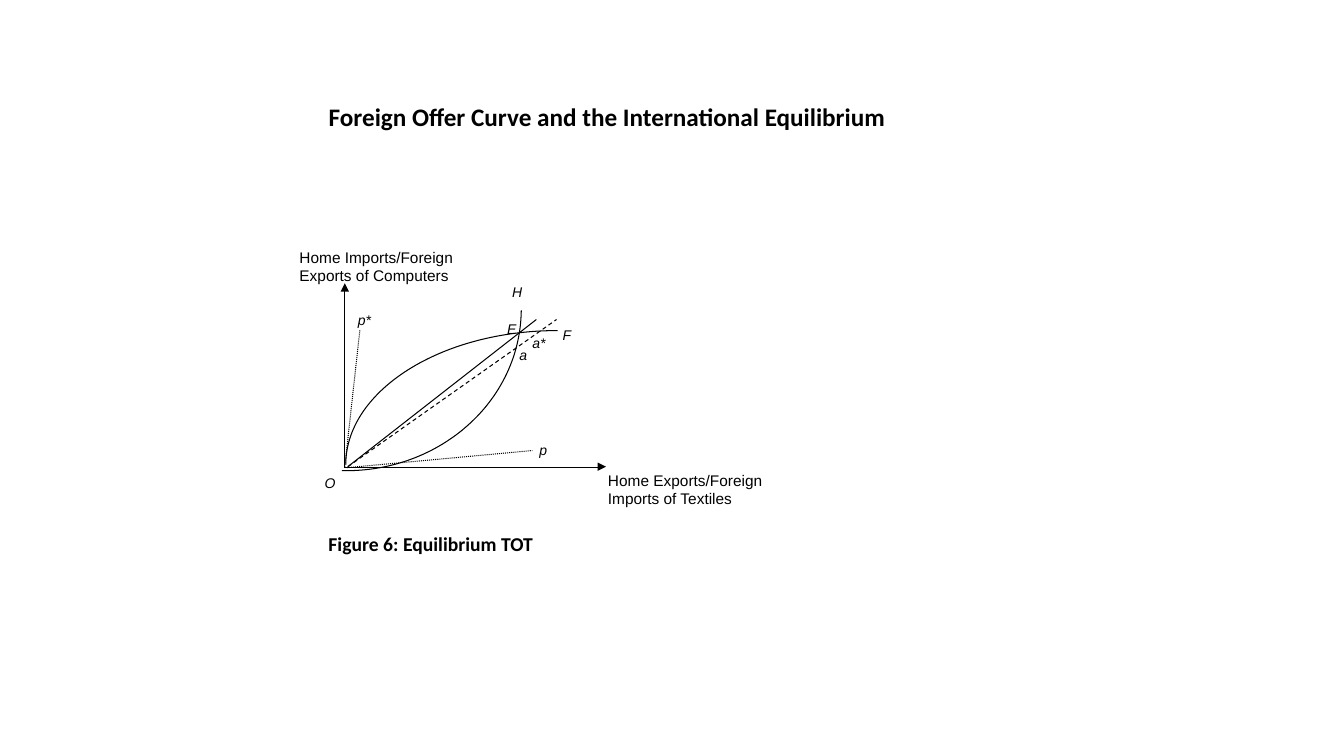
from lxml import etree
from pptx import Presentation
from pptx.dml.color import RGBColor
from pptx.enum import dml, shapes, text
from pptx.oxml.ns import qn
from pptx.util import Inches, Pt

BLACK = RGBColor(0, 0, 0)
WHITE = RGBColor(255, 255, 255)
DOTTED = dml.MSO_LINE.ROUND_DOT
DASHED = dml.MSO_LINE.DASH
CURVE_STEPS = 60

# Offsets from the chart origin O, with x to the right and y downwards
LINES = [  # start, end, width, dash, arrowhead
    ((0, -1.78), (0, 0), 1, None, False),  # vertical axis
    ((0, 0), (2.55, 0), 1, None, False),  # horizontal axis
    ((0, -1.55), (0, -1.83), 0.5, None, True),
    ((2.29, -0.01), (2.59, -0.01), 0.25, None, True),
    ((0.02, 0), (1.86, -0.17), 0.75, DOTTED, False),  # p
    ((0, -0.01), (0.15, -1.37), 0.75, DOTTED, False),  # p*
    ((0.03, -0.01), (1.9, -1.47), 0.75, None, False),  # terms of trade at E
    ((0.03, -0.01), (2.1, -1.47), 0.75, DASHED, False),  # through a and a*
]
OFFER_CURVES = [  # Bezier control points
    [(2.11, -1.36), (0.95, -1.36), (0.01, -0.76), (0.01, -0.03)],  # foreign
    [(-0.03, 0.03), (0.94, 0.05), (1.74, -0.66), (1.75, -1.56)],  # home
]
NARROW, WIDE = (0.06, 0.03), (0.12, 0.06)
POINT_LABELS = [  # wording, box, insets
    ("H", (1.6, -1.86, 0.26, 0.38), NARROW),
    ("O", (-0.26, 0.04, 0.29, 0.32), NARROW),
    ("F", (2.04, -1.46, 0.32, 0.27), WIDE),
    ("E", (1.49, -1.52, 0.32, 0.27), WIDE),
    ("p*", (0.01, -1.61, 0.47, 0.4), WIDE),
    ("p", (1.81, -0.32, 0.43, 0.41), WIDE),
    ("a", (1.61, -1.26, 0.31, 0.27), WIDE),
    ("a*", (1.74, -1.38, 0.42, 0.31), WIDE),
]
AXIS_TITLES = [
    (["Home Exports/Foreign", "Imports of Textiles"], (2.55, 0, 1.93, 0.41)),
    (["Home Imports/Foreign", "Exports of Computers"], (-0.51, -2.21, 1.75, 0.41)),
]


def write_lines(shape, lines, size, font_name, insets, bold=False, italic=False):
    frame = shape.text_frame
    frame.word_wrap = True
    frame.auto_size = text.MSO_AUTO_SIZE.NONE
    frame.margin_left = frame.margin_right = Inches(insets[0])
    frame.margin_top = frame.margin_bottom = Inches(insets[1])
    for index, line in enumerate(lines):
        paragraph = frame.add_paragraph() if index else frame.paragraphs[0]
        paragraph.alignment = text.PP_ALIGN.LEFT
        run = paragraph.add_run()
        run.text = line
        run.font.size = Pt(size)
        run.font.name = font_name
        run.font.bold = bold
        run.font.italic = italic
        run.font.color.rgb = BLACK


def add_label(slide, box, lines, size, font_name, insets, **style):
    label = slide.shapes.add_textbox(*map(Inches, box))
    write_lines(label, lines, size, font_name, insets, **style)


def add_line(slide, start, end, width, dash, arrowhead):
    line = slide.shapes.add_connector(
        shapes.MSO_CONNECTOR.STRAIGHT, *map(Inches, start + end))
    line.line.color.rgb = BLACK
    line.line.width = Pt(width)
    if dash:
        line.line.dash_style = dash
    if arrowhead:
        outline = line._element.spPr.find(qn("a:ln"))
        etree.SubElement(outline, qn("a:tailEnd"), type="triangle")
    etree.SubElement(line._element.spPr, qn("a:effectLst"))


def bezier_point(controls, t):
    weights = ((1 - t) ** 3, 3 * t * (1 - t) ** 2, 3 * t ** 2 * (1 - t), t ** 3)
    return tuple(Inches(sum(weight * point[axis]
                            for weight, point in zip(weights, controls)))
                 for axis in (0, 1))


def add_curve(slide, controls):
    points = [bezier_point(controls, step / CURVE_STEPS)
              for step in range(CURVE_STEPS + 1)]
    builder = slide.shapes.build_freeform(*points[0])
    builder.add_line_segments(points[1:], close=False)
    curve = builder.convert_to_shape()
    curve.shadow.inherit = False
    curve.fill.background()
    curve.line.color.rgb = BLACK
    curve.line.width = Pt(0.75)


def add_offer_curve_diagram(slide, left, top, height):
    def place(offset):
        return (left + offset[0], top + height + offset[1]) + tuple(offset[2:])

    # Axes and price lines
    for start, end, width, dash, arrowhead in LINES:
        add_line(slide, place(start), place(end), width, dash, arrowhead)
    # Offer curves
    for controls in OFFER_CURVES:
        add_curve(slide, [place(point) for point in controls])
    # Labels
    for wording, box, insets in POINT_LABELS:
        add_label(slide, place(box), [wording], 10, "Arial", insets, italic=True)
    for lines, box in AXIS_TITLES:
        add_label(slide, place(box), lines, 11, "Arial", NARROW)


def add_title(slide, left, top, width, height):
    title = slide.shapes.title
    title.left, title.top, title.width, title.height = map(
        Inches, (left, top, width, height))
    write_lines(title, ["Foreign Offer Curve and the International Equilibrium"],
                18, "Calibri", (0.1, 0.05), bold=True)
    title.text_frame.vertical_anchor = text.MSO_ANCHOR.MIDDLE


def main():
    presentation = Presentation()
    presentation.slide_width = Inches(13.33)
    presentation.slide_height = Inches(7.5)
    slide = presentation.slides.add_slide(presentation.slide_layouts[5])
    slide.background.fill.solid()
    slide.background.fill.fore_color.rgb = WHITE

    add_title(slide, 3.16, 0.95, 5.77, 0.4)
    add_offer_curve_diagram(slide, 3.42, 2.81, 1.83)
    # Caption
    add_label(slide, (3.16, 5.23, 2.4, 0.34), ["Figure 6: Equilibrium TOT"],
              14, "Calibri", (0.1, 0.05), bold=True)
    presentation.save("out.pptx")


if __name__ == "__main__":
    main()
